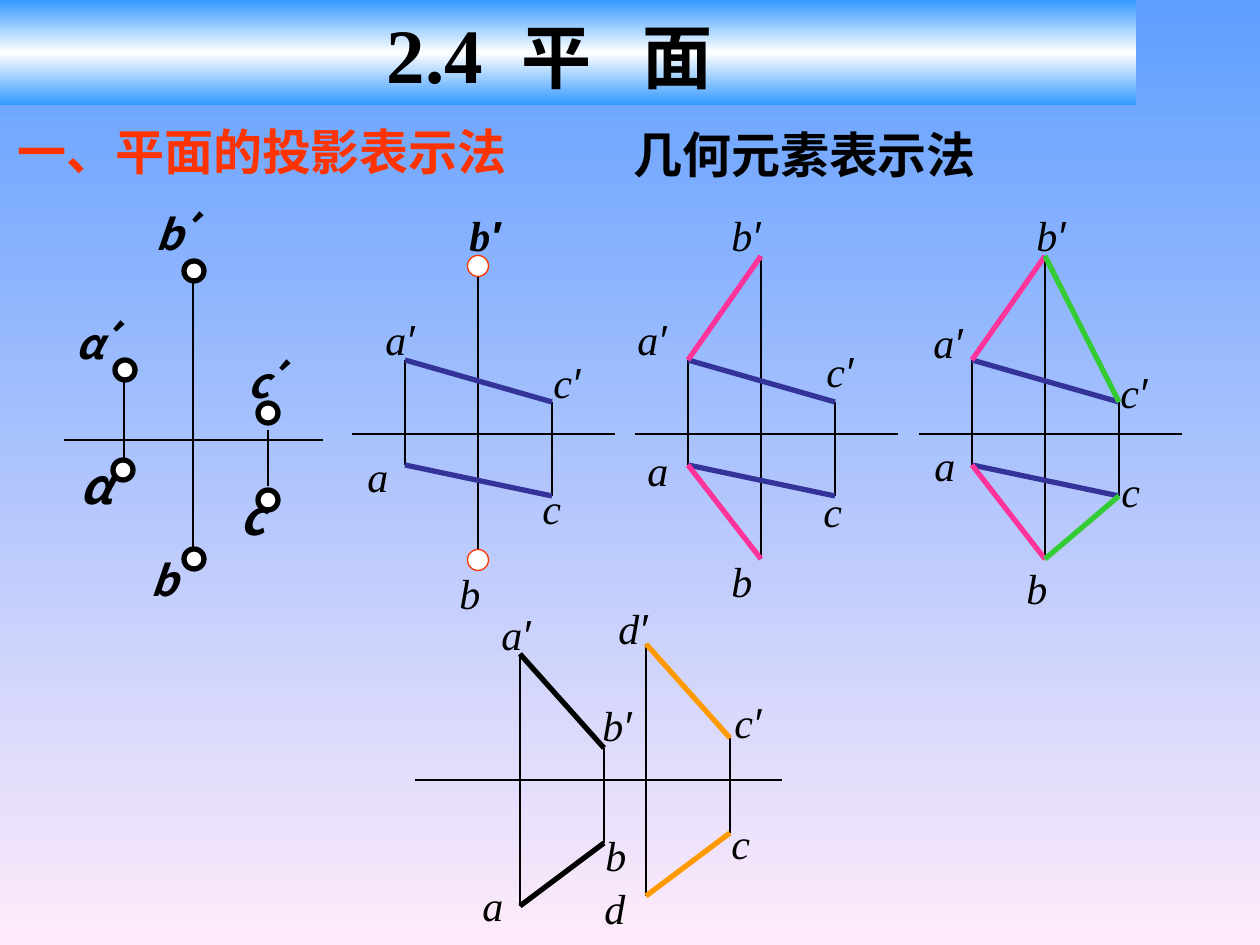
from copy import deepcopy
from dataclasses import dataclass

from pptx import Presentation
from pptx.dml.color import RGBColor
from pptx.enum.shapes import MSO_CONNECTOR, MSO_SHAPE
from pptx.enum.text import MSO_ANCHOR, MSO_AUTO_SIZE, PP_ALIGN
from pptx.oxml.ns import qn
from pptx.util import Pt
from lxml import etree

STRAIGHT, OVAL = MSO_CONNECTOR.STRAIGHT, MSO_SHAPE.OVAL
LEFT, CENTER, MIDDLE = PP_ALIGN.LEFT, PP_ALIGN.CENTER, MSO_ANCHOR.MIDDLE
FIXED = MSO_AUTO_SIZE.NONE
PX = 914400 // 126
TITLE_ONLY = 5


@dataclass(frozen=True)
class Theme:
    black: str = "000000"
    white: str = "FFFFFF"
    red: str = "FF3300"
    blue: str = "333399"
    pink: str = "FF3399"
    green: str = "33CC33"
    orange: str = "FF9900"
    background: tuple = ("5E9EFF", "FFEBFA")
    banner: tuple = ("3399FF", "FFFFFF", "3399FF")
    serif: str = "Times New Roman"
    sans: str = "Arial"
    chinese: str = "Noto Sans CJK SC"
    title: int = 44
    title_chinese: int = 40
    heading: int = 28
    label: int = 24
    thin: float = 0.75
    medium: float = 1
    thick: float = 3


THEME = Theme()

# text, extra spacing after it in points, size
TITLE = [("2.4", 0, THEME.title), (" ", 11, THEME.title), ("平", 0, THEME.title_chinese),
         (" ", 20, THEME.title_chinese), ("面", 0, THEME.title_chinese)]
HEADINGS = [("一、平面的投影表示法", (5, 115, 611, 79), THEME.red, THEME.sans),
            ("几何元素表示法", (621, 118, 557, 72), THEME.black, THEME.serif)]

# Points are relative to the left end of the axis.
TRIANGLE = {"a′": (53, 360), "b′": (126, 256), "c′": (200, 402),
            "a": (53, 465), "b": (126, 559), "c": (200, 496)}
PARALLELS = {"a′": (105, 654), "b′": (189, 748), "c′": (315, 738), "d′": (231, 644),
             "a": (105, 906), "b": (189, 843), "c": (315, 833), "d": (231, 896)}
AC, AB, BC = ("ac", THEME.blue), ("ab", THEME.pink), ("bc", THEME.green)

FIGURES = [
    dict(axis=(352, 434, 263), points=TRIANGLE, edges=[AC],
         rings=[(478, 266), (478, 560)], bold=["b′"],
         labels={"b′": (457, 203), "a′": (373, 307), "c′": (541, 350),
                 "a": (355, 444), "b": (447, 561), "c": (530, 476)}),
    dict(axis=(635, 434, 263), points=TRIANGLE, edges=[AC, AB],
         labels={"b′": (719, 203), "a′": (625, 307), "c′": (814, 339),
                 "a": (635, 438), "b": (719, 549), "c": (811, 479)}),
    dict(axis=(919, 434, 263), points=TRIANGLE, edges=[AC, AB, BC],
         labels={"b′": (1024, 203), "a′": (921, 310), "c′": (1108, 360),
                 "a": (922, 433), "b": (1014, 556), "c": (1109, 459)}),
    dict(axis=(415, 780, 367), points=PARALLELS,
         edges=[("ab", THEME.black), ("dc", THEME.orange)],
         labels={"a′": (489, 602), "b′": (590, 693), "c′": (722, 690), "d′": (606, 596),
                 "a": (470, 873), "b": (593, 823), "c": (719, 811), "d": (592, 876)}),
]

THREE_POINTS = dict(
    lines=[((64, 440), (323, 440)), ((124, 381), (124, 460)),
           ((193, 281), (193, 549)), ((268, 430), (268, 486))],
    rings=[(194, 271), (125, 370), (268, 413), (268, 500), (194, 559), (123, 470)],
    labels=[("α´", (44, 311), THEME.label), ("b´", (123, 202), THEME.label),
            ("c´", (213, 350), THEME.label), ("b", (105, 548), THEME.label),
            ("c", (193, 480), THEME.heading), ("α", (37, 449), THEME.heading)])


def color(value):
    return RGBColor.from_string(value)


def set_gradient(fill, colors):
    """Fill from top to bottom with evenly spaced colours."""
    fill.gradient()
    fill.gradient_angle = 270
    last = fill.gradient_stops[1]._gs
    for _ in colors[2:]:
        last.addnext(deepcopy(last))
    for index, (stop, value) in enumerate(zip(fill.gradient_stops, colors)):
        stop.position = index / (len(colors) - 1)
        stop.color.rgb = color(value)


def add_span(para, text, *, size=THEME.label, font=THEME.serif, ink=THEME.black,
             bold=False, italic=False, spacing=0, asian=False):
    span = para.add_run()
    span.text = text
    span.font.size, span.font.name = Pt(size), font
    span.font.bold, span.font.italic = bold, italic
    span.font.color.rgb = color(ink)
    properties = span._r.get_or_add_rPr()
    if spacing:
        properties.set("spc", str(spacing * 100))
    if asian:
        etree.SubElement(properties, qn("a:ea")).set("typeface", THEME.chinese)


def add_para(shapes, bounds, align=LEFT):
    box = shapes.add_textbox(*(value * PX for value in bounds))
    box.text_frame.word_wrap = True
    para = box.text_frame.paragraphs[0]
    para.alignment = align
    return para


def add_line(shapes, start, end, ink=THEME.black, width=THEME.thin):
    ends = (value * PX for value in (*start, *end))
    line = shapes.add_connector(STRAIGHT, *ends)
    line.line.color.rgb, line.line.width = color(ink), Pt(width)
    etree.SubElement(line._element.spPr, qn("a:effectLst"))


def add_ring(shapes, center, diameter, ink, width):
    left, top = (int((value - diameter / 2) * PX) for value in center)
    ring = shapes.add_shape(OVAL, left, top, diameter * PX, diameter * PX)
    ring.shadow.inherit = False
    ring.fill.solid()
    ring.fill.fore_color.rgb = color(THEME.white)
    ring.line.color.rgb, ring.line.width = color(ink), Pt(width)


def draw_figure(shapes, axis, points, edges, labels, rings=(), bold=()):
    left, level, length = axis
    places = {name: (left + x, y) for name, (x, y) in points.items()}
    add_line(shapes, (left, level), (left + length, level))
    for name in points:
        if not name.endswith("′"):
            add_line(shapes, places[name + "′"], places[name])
    for center in rings:
        add_ring(shapes, center, 21, THEME.red, THEME.thin)
    for (start, end), ink in edges:
        for prime in ("′", ""):
            add_line(shapes, places[start + prime], places[end + prime], ink, THEME.thick)
    for name, place in labels.items():
        para = add_para(shapes, (*place, 84 if name.endswith("′") else 63, 63))
        for letter in name:
            font = THEME.sans if letter == "′" else THEME.serif
            add_span(para, letter, font=font, italic=True, bold=name in bold)


def draw_three_points(shapes, lines, rings, labels):
    for start, end in lines:
        add_line(shapes, start, end, width=THEME.medium)
    for center in rings:
        add_ring(shapes, center, 20, THEME.black, THEME.thick)
    for name, place, size in labels:
        para = add_para(shapes, (*place, 118, 63), CENTER)
        for letter in name:
            add_span(para, letter, size=size, font=THEME.chinese, bold=True,
                     italic=letter != "´", asian=True)


def draw_banner(title):
    title.left, title.top, title.width, title.height = 0, 0, 1136 * PX, 105 * PX
    set_gradient(title.fill, THEME.banner)
    frame = title.text_frame
    frame.auto_size, frame.vertical_anchor = FIXED, MIDDLE
    frame.margin_right = 49 * PX
    para = frame.paragraphs[0]
    para.alignment = CENTER
    for text, spacing, size in TITLE:
        add_span(para, text, size=size, spacing=spacing, bold=True, asian=True)


def main():
    deck = Presentation()
    deck.slide_width, deck.slide_height = 1260 * PX, 945 * PX
    page = deck.slides.add_slide(deck.slide_layouts[TITLE_ONLY])
    set_gradient(page.background.fill, THEME.background)
    draw_banner(page.shapes.title)
    for text, bounds, ink, font in HEADINGS:
        add_span(add_para(page.shapes, bounds), text, size=THEME.heading,
                 font=font, ink=ink, bold=True, asian=True)
    for figure in FIGURES:
        draw_figure(page.shapes.add_group_shape().shapes, **figure)
    draw_three_points(page.shapes.add_group_shape().shapes, **THREE_POINTS)
    deck.save("out.pptx")


if __name__ == "__main__":
    main()
